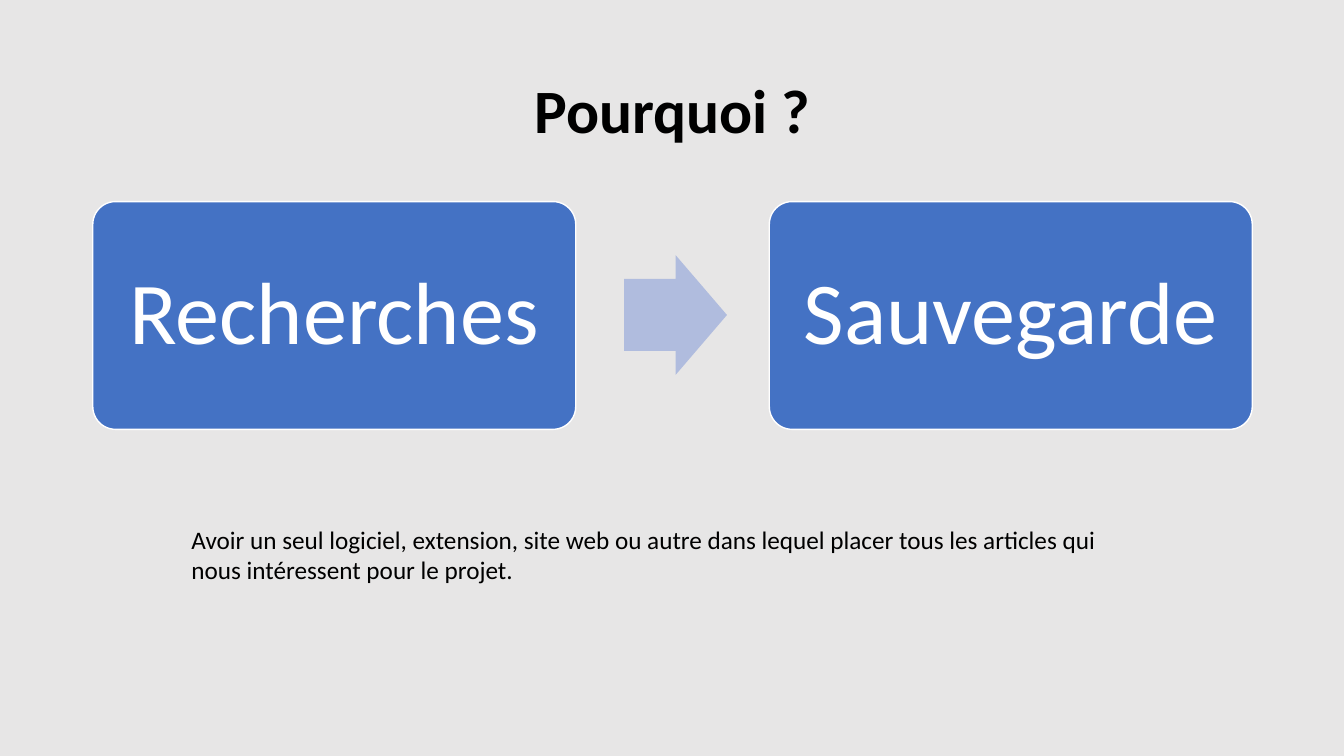
from dataclasses import dataclass

from pptx import Presentation
from pptx.dml.color import RGBColor
from pptx.enum import shapes, text
from pptx.util import Inches, Pt

COLORS = {"background": "E7E6E6", "step": "4472C4", "arrow": "B0BCDE",
          "light": "FFFFFF", "dark": "000000"}
FONT = "Calibri"


@dataclass
class Box:
    left: float
    top: float
    width: float
    height: float

    def lengths(self):
        return [Inches(v) for v in (self.left, self.top, self.width, self.height)]


@dataclass
class Wording:
    content: str
    size: float
    color: str = "dark"
    bold: bool = False
    align: text.PP_ALIGN = text.PP_ALIGN.LEFT
    spacing: float = 1.0
    anchor: text.MSO_ANCHOR = text.MSO_ANCHOR.TOP


@dataclass
class Step:
    box: Box
    label: str


def rgb(name: str) -> RGBColor:
    return RGBColor.from_string(COLORS[name])


def write(frame, wording: Wording) -> None:
    frame.word_wrap = True
    frame.vertical_anchor = wording.anchor
    paragraph = frame.paragraphs[0]
    paragraph.alignment = wording.align
    paragraph.line_spacing = wording.spacing
    run = paragraph.add_run()
    run.text = wording.content
    run.font.name = FONT
    run.font.size = Pt(wording.size)
    run.font.bold = wording.bold
    run.font.color.rgb = rgb(wording.color)


def add_text(slide, box: Box, wording: Wording) -> None:
    write(slide.shapes.add_textbox(*box.lengths()).text_frame, wording)


def add_filled(slide, kind: shapes.MSO_SHAPE, box: Box, color: str):
    shape = slide.shapes.add_shape(kind, *box.lengths())
    shape.shadow.inherit = False
    shape.fill.solid()
    shape.fill.fore_color.rgb = rgb(color)
    shape.line.fill.background()
    return shape


def add_step(slide, step: Step) -> None:
    shape = add_filled(slide, shapes.MSO_SHAPE.ROUNDED_RECTANGLE, step.box, "step")
    shape.adjustments[0] = 0.1
    shape.line.color.rgb = rgb("light")
    shape.line.width = Pt(1)
    frame = shape.text_frame
    frame.margin_left = frame.margin_right = Inches(0.26)
    frame.margin_top = frame.margin_bottom = Inches(0.26)
    write(frame, Wording(step.label, 63, "light", align=text.PP_ALIGN.CENTER,
                         spacing=0.9, anchor=text.MSO_ANCHOR.MIDDLE))


def main() -> None:
    deck = Presentation()
    deck.slide_width, deck.slide_height = Inches(13.33), Inches(7.5)
    slide = deck.slides.add_slide(deck.slide_layouts[6])
    slide.background.fill.solid()
    slide.background.fill.fore_color.rgb = rgb("background")

    add_text(slide, Box(0.92, 0.4, 11.5, 1.45),
             Wording("Pourquoi ?", 44, bold=True, align=text.PP_ALIGN.CENTER,
                     spacing=0.9, anchor=text.MSO_ANCHOR.MIDDLE))

    steps = [Step(Box(left, 2, 4.79, 2.26), label)
             for left, label in ((0.92, "Recherches"), (7.63, "Sauvegarde"))]
    for step in steps:
        add_step(slide, step)

    arrow = add_filled(slide, shapes.MSO_SHAPE.RIGHT_ARROW,
                       Box(6.19, 2.53, 1.02, 1.19), "arrow")
    arrow.adjustments[0] = 0.6
    arrow.adjustments[1] = 0.5

    add_text(slide, Box(1.8, 5.15, 9.69, 0.71),
             Wording("Avoir un seul logiciel, extension, site web ou autre dans lequel "
                     "placer tous les articles qui nous intéressent pour le projet.", 18))

    deck.save("out.pptx")


if __name__ == "__main__":
    main()
